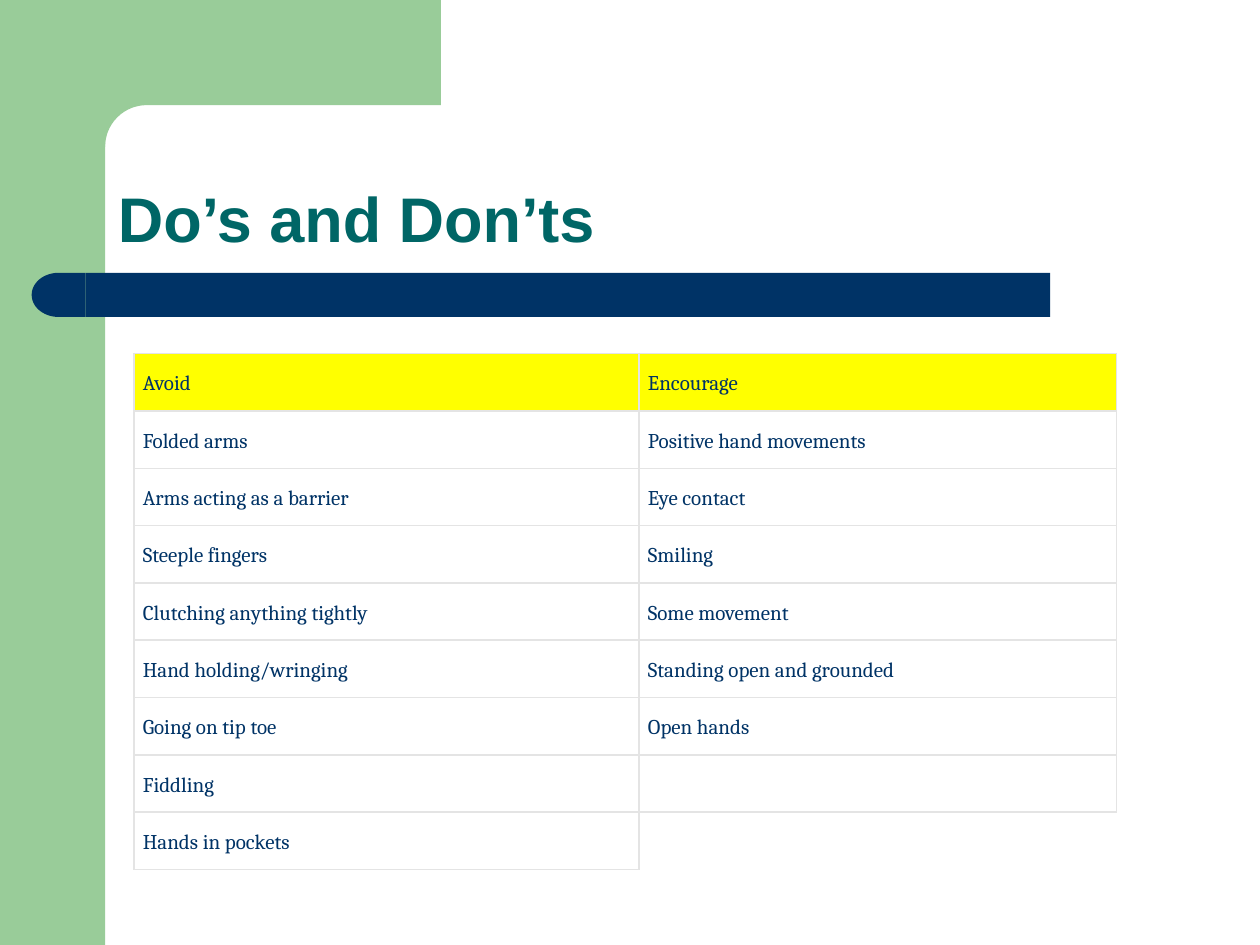
import math

from lxml import etree
from pptx import Presentation
from pptx import util as u
from pptx.dml.color import RGBColor
from pptx.enum import shapes, text
from pptx.oxml.ns import qn

GREEN, NAVY, TEAL = "99CC99", "003366", "006666"
YELLOW, GREY, WHITE = "FFFF00", "E4E4E4", "FFFFFF"
NO_STYLE = "{2D5ABB26-0587-4C30-8999-92F81FD0307C}"

HABITS = [
    ("Avoid", "Encourage"),
    ("Folded arms", "Positive hand movements"),
    ("Arms acting as a barrier", "Eye contact"),
    ("Steeple fingers", "Smiling"),
    ("Clutching anything tightly", "Some movement"),
    ("Hand holding/wringing", "Standing open and grounded"),
    ("Going on tip toe", "Open hands"),
    ("Fiddling", ""),
    ("Hands in pockets", ""),
]


def colour(hex_code):
    return RGBColor.from_string(hex_code)


def paint(shape, hex_code):
    shape.shadow.inherit = False
    shape.fill.solid()
    shape.fill.fore_color.rgb = colour(hex_code)
    shape.line.fill.background()


def add_block(slide, kind, left, top, width, height, hex_code):
    block = slide.shapes.add_shape(
        kind, u.Cm(left), u.Cm(top), u.Cm(width), u.Cm(height))
    paint(block, hex_code)
    return block


def add_green_frame(slide, left, top, width, height):
    """Side strip plus a top arm, joined by a rounded inner corner."""
    strip, arm, radius, overlap = 2.12, 8.89, 0.84, 0.85
    add_block(slide, shapes.MSO_SHAPE.RECTANGLE, left, top, strip, height, GREEN)

    centre = strip + radius
    angles = [math.radians(90 * step / 16) for step in range(17)]
    curve = [(centre - radius * math.sin(a), centre - radius * math.cos(a))
             for a in angles]
    outline = [(arm, 0), (arm, strip), *curve,
               (strip - overlap, centre), (strip - overlap, 0)]
    points = [(u.Cm(left + x), u.Cm(top + y)) for x, y in outline]
    builder = slide.shapes.build_freeform(*points[0])
    builder.add_line_segments(points[1:], close=True)
    paint(builder.convert_to_shape(), GREEN)


def add_title_bar(slide, left, top, width, height):
    """Navy bar with a rounded left end."""
    cap = 1.08
    add_block(slide, shapes.MSO_SHAPE.RECTANGLE,
              left + cap, top, width - cap, height, NAVY)
    end = add_block(slide, shapes.MSO_SHAPE.FLOWCHART_DELAY,
                    left, top, cap, height, NAVY)
    end._element.spPr.find(qn("a:xfrm")).set("flipH", "1")


def place_title(slide, words, left, top, width, height):
    title = slide.shapes.title
    title.left, title.top = u.Cm(left), u.Cm(top)
    title.width, title.height = u.Cm(width), u.Cm(height)
    slide.shapes._spTree.append(title._element)  # in front of the decoration
    frame = title.text_frame
    frame.text = words
    frame.auto_size = text.MSO_AUTO_SIZE.NONE
    frame.vertical_anchor = text.MSO_ANCHOR.BOTTOM
    heading = frame.paragraphs[0]
    heading.alignment = text.PP_ALIGN.LEFT
    heading.line_spacing = 0.9
    heading.font.name, heading.font.size = "Arial", u.Pt(36)
    heading.font.bold = True
    heading.font.color.rgb = colour(TEAL)


def add_borders(cell, sides):
    properties = cell._tc.get_or_add_tcPr()
    for side in sides:
        line = etree.SubElement(properties, qn(f"a:ln{side}"), w=str(u.Pt(1)))
        fill = etree.SubElement(line, qn("a:solidFill"))
        etree.SubElement(fill, qn("a:srgbClr"), val=GREY)


def fill_cell(cell, words, background):
    cell.margin_left = cell.margin_right = u.Cm(0.18)
    cell.margin_top = cell.margin_bottom = u.Cm(0.08)
    cell.vertical_anchor = text.MSO_ANCHOR.MIDDLE
    cell.fill.solid()
    cell.fill.fore_color.rgb = colour(background)
    cell.text = words
    entry = cell.text_frame.paragraphs[0]
    entry.alignment = text.PP_ALIGN.JUSTIFY
    entry.line_spacing = 1.15
    entry.font.name, entry.font.size = "Cambria", u.Pt(12)
    entry.font.color.rgb = colour(NAVY)


def add_habits(slide, left, top, width, height):
    avoid_share = 0.514
    table = slide.shapes.add_table(
        len(HABITS), 2, u.Cm(left), u.Cm(top), u.Cm(width), u.Cm(height)).table
    table.first_row = table.horz_banding = False
    table._tbl.tblPr.find(qn("a:tableStyleId")).text = NO_STYLE
    table.columns[0].width = u.Cm(width * avoid_share)
    table.columns[1].width = u.Cm(width * (1 - avoid_share))

    last = (len(HABITS) - 1, 1)
    for r, pair in enumerate(HABITS):
        table.rows[r].height = u.Cm(height / len(HABITS))
        for c, words in enumerate(pair):
            cell = table.cell(r, c)
            add_borders(cell, "LT" if (r, c) == last else "LRTB")
            fill_cell(cell, words, WHITE if r else YELLOW)


def main():
    deck = Presentation()
    deck.slide_width, deck.slide_height = u.Cm(25.4), u.Cm(19.05)
    slide = deck.slides.add_slide(deck.slide_layouts.get_by_name("Title Only"))
    add_green_frame(slide, 0, 0, 8.89, 19.05)
    add_title_bar(slide, 0.64, 5.5, 20.53, 0.89)
    place_title(slide, "Do’s and Don’ts", 2.12, 2.12, 22.01, 3.17)
    add_habits(slide, 2.7, 7.13, 19.81, 10.4)
    deck.save("out.pptx")


if __name__ == "__main__":
    main()
